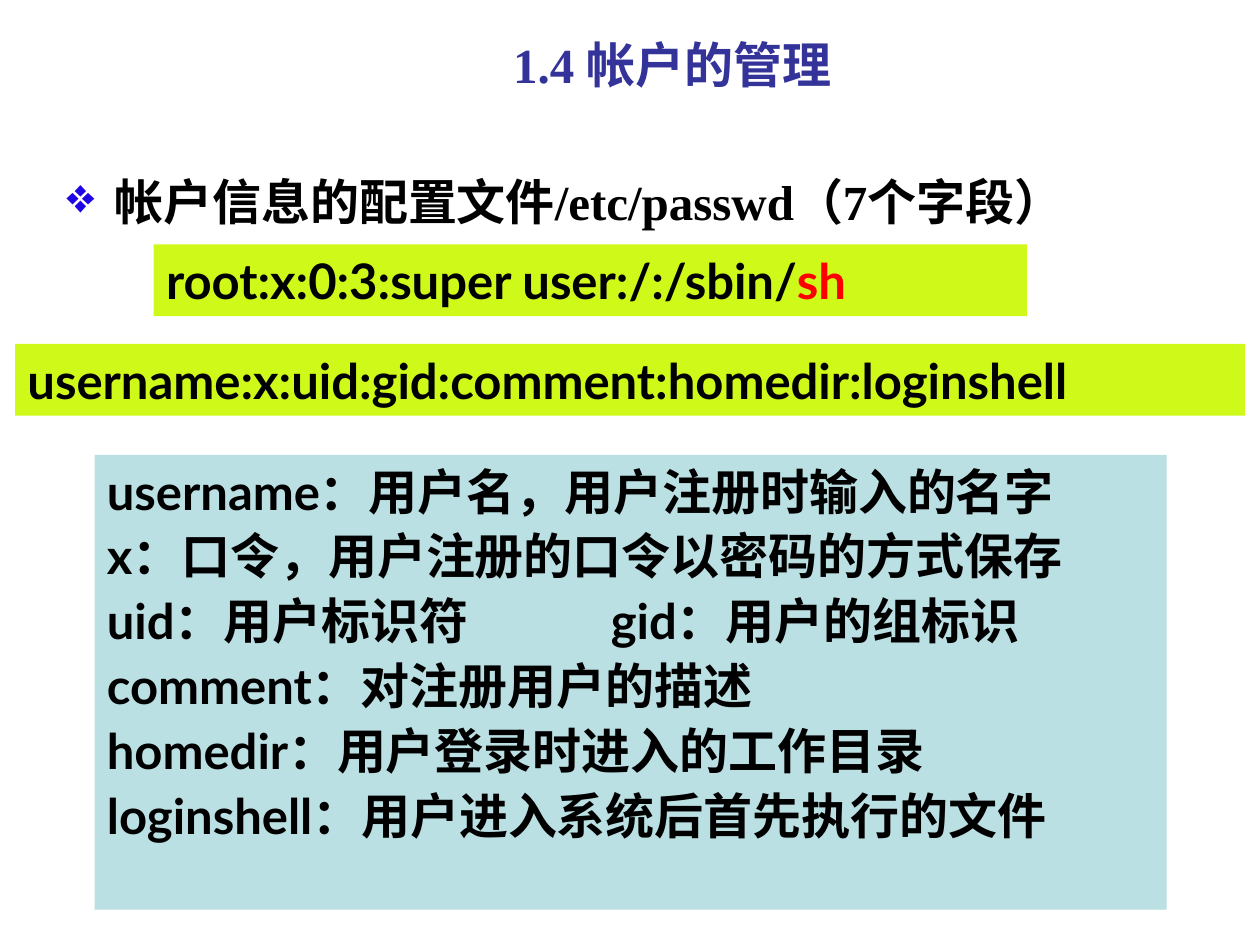
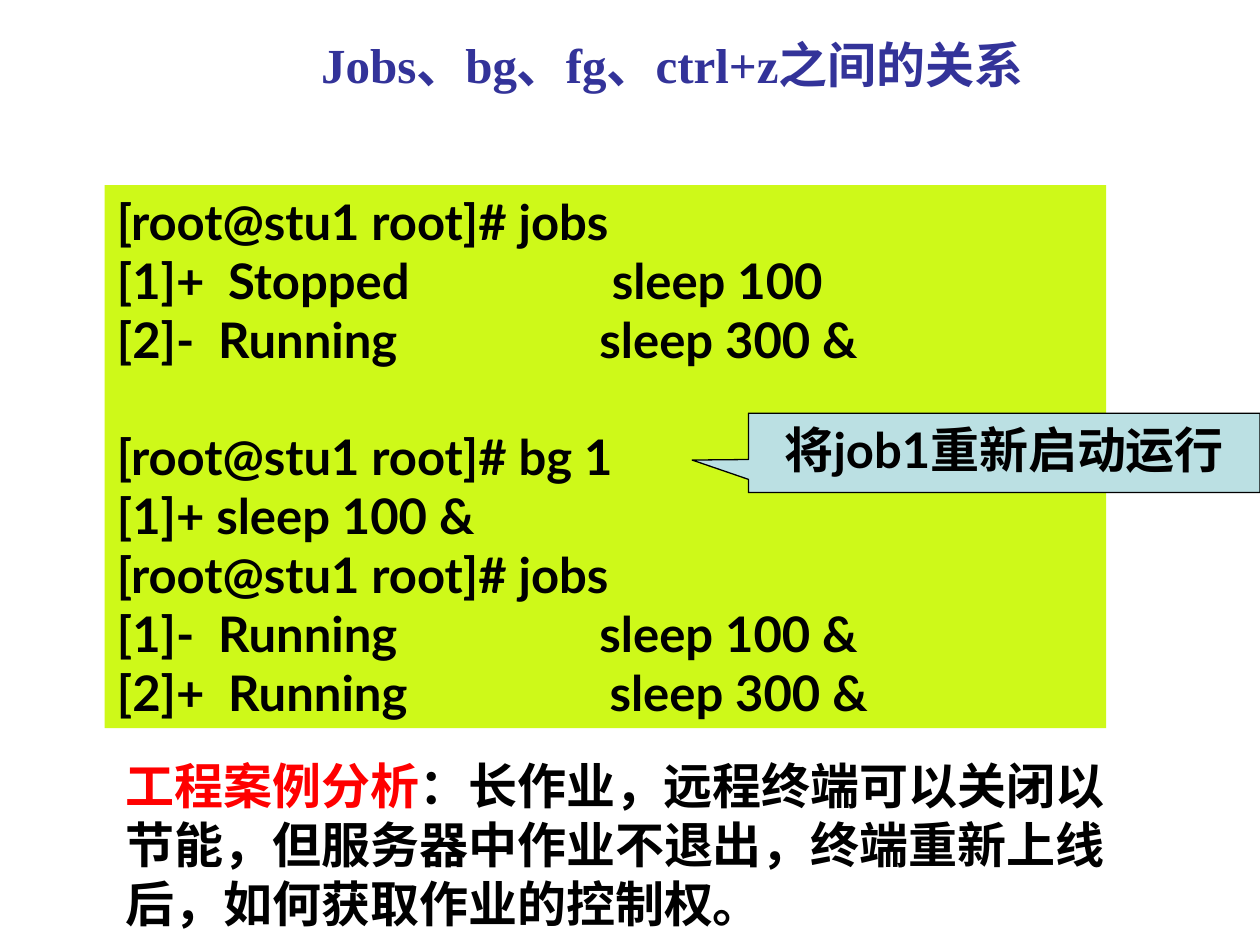
from pptx import Presentation
from pptx.dml.color import RGBColor
from pptx.enum import lang, shapes, text
from pptx.util import Inches, Pt
from lxml import etree
from pptx.oxml import ns

NAVY = RGBColor(0x33, 0x33, 0x99)
BLACK = RGBColor(0, 0, 0)
RED = RGBColor(0xFF, 0, 0)
LIME = RGBColor(0xCE, 0xF9, 0x19)
PALE_BLUE = RGBColor(0xBB, 0xE0, 0xE3)
BULLET_BLUE = "1F05E3"
SERIF, SANS = "Times New Roman", "Lato"
RECT = shapes.MSO_SHAPE.RECTANGLE
CALLOUT = shapes.MSO_SHAPE.RECTANGULAR_CALLOUT
TITLE_BOX = (0.67, 0.21, 9.33, 0.6)
LINE_PT = 33.6  # height of one terminal line

# Content: a paragraph is a list of (text, colour) runs or a plain string
ACCOUNT_TITLE = "1.4 帐户的管理"
PASSWD_HEADING = "帐户信息的配置文件/etc/passwd（7个字段）"
PASSWD_EXAMPLE = [("root:x:0:3:super user:/:/sbin/", BLACK), ("sh", RED)]
PASSWD_FORMAT = "username:x:uid:gid:comment:homedir:loginshell"
PASSWD_FIELDS = [
    "username：用户名，用户注册时输入的名字",
    "x：口令，用户注册的口令以密码的方式保存",
    "uid：用户标识符\tgid：用户的组标识",
    "comment：对注册用户的描述",
    "homedir：用户登录时进入的工作目录",
    "loginshell：用户进入系统后首先执行的文件",
]

JOBS_TITLE = "Jobs、bg、fg、ctrl+z之间的关系"
JOBS_LIST = [
    "[root@stu1 root]# jobs",
    "[1]+  Stopped                 sleep 100",
    "[2]-  Running                 sleep 300 &",
]
JOBS_AFTER_BG = [
    "[root@stu1 root]# bg 1",
    "[1]+ sleep 100 &",
    "[root@stu1 root]# jobs",
    "[1]-  Running                 sleep 100 &",
    "[2]+  Running                 sleep 300 &",
]
BG_NOTE = "将job1重新启动运行"
CASE_STUDY = [
    ("工程案例分析", RED),
    ("：长作业，远程终端可以关闭以节能，但服务器中作业不退出，"
     "终端重新上线后，如何获取作业的控制权。", BLACK),
]


def write(sp, paragraphs, font=SANS, color=BLACK, align=text.PP_ALIGN.LEFT,
          anchor=text.MSO_ANCHOR.TOP, before=0):
    """Fill a shape with bold 28 pt paragraphs and return its text frame."""
    tf = sp.text_frame
    tf.word_wrap = True
    tf.vertical_anchor = anchor
    for i, runs in enumerate(paragraphs):
        p = tf.paragraphs[0] if i == 0 else tf.add_paragraph()
        p.alignment = align
        if i and before:
            p.space_before = Pt(before)
        for words, run_color in [(runs, color)] if isinstance(runs, str) else runs:
            r = p.add_run()
            r.text = words
            r.font.name, r.font.size, r.font.bold = font, Pt(28), True
            r.font.color.rgb = run_color
            r.font.language_id = lang.MSO_LANGUAGE_ID.SIMPLIFIED_CHINESE
    return tf


def add_text(slide, box, paragraphs, **fmt):
    return write(slide.shapes.add_textbox(*map(Inches, box)), paragraphs, **fmt)


def add_panel(slide, box, fill, paragraphs, kind=RECT, **fmt):
    sp = slide.shapes.add_shape(kind, *map(Inches, box))
    sp.shadow.inherit = False
    sp.fill.solid()
    sp.fill.fore_color.rgb = fill
    sp.line.fill.background()
    write(sp, paragraphs, **fmt)
    return sp


def add_slide(prs, title):
    slide = prs.slides.add_slide(prs.slide_layouts[6])
    add_text(slide, TITLE_BOX, [title], font=SERIF, color=NAVY,
             align=text.PP_ALIGN.CENTER, anchor=text.MSO_ANCHOR.MIDDLE)
    return slide


def add_bullet(p, char, color, indent):
    pPr = p._p.get_or_add_pPr()
    pPr.set("marL", str(Inches(indent)))
    pPr.set("indent", str(-Inches(indent)))
    bu_clr = etree.SubElement(pPr, ns.qn("a:buClr"))
    etree.SubElement(bu_clr, ns.qn("a:srgbClr"), val=color)
    etree.SubElement(pPr, ns.qn("a:buChar"), char=char)


def add_tab_stop(p, position):
    tabs = etree.SubElement(p._p.get_or_add_pPr(), ns.qn("a:tabLst"))
    etree.SubElement(tabs, ns.qn("a:tab"), pos=str(Inches(position)), algn="l")


def build_account_slide(prs):
    slide = add_slide(prs, ACCOUNT_TITLE)
    tf = add_text(slide, (0.43, 1.31, 9.29, 0.6), [PASSWD_HEADING], font=SERIF)
    add_bullet(tf.paragraphs[0], "❖", BULLET_BLUE, 0.38)
    add_panel(slide, (1.22, 1.94, 6.93, 0.57), LIME, [PASSWD_EXAMPLE])
    add_panel(slide, (0.12, 2.73, 9.76, 0.57), LIME, [PASSWD_FORMAT])
    fields = add_panel(slide, (0.75, 3.61, 8.51, 3.61), PALE_BLUE,
                       PASSWD_FIELDS, before=3.5)
    for p in fields.text_frame.paragraphs:
        if "\t" in p.text:
            add_tab_stop(p, 4)


def build_jobs_slide(prs):
    slide = add_slide(prs, JOBS_TITLE)
    terminal = add_panel(slide, (0.83, 1.47, 7.95, 4.31), LIME,
                         JOBS_LIST + JOBS_AFTER_BG)
    # One line of space before the bg command
    terminal.text_frame.paragraphs[len(JOBS_LIST)].space_before = Pt(LINE_PT)

    note = add_panel(slide, (5.94, 3.28, 4.06, 0.63), PALE_BLUE, [BG_NOTE],
                     kind=CALLOUT, align=text.PP_ALIGN.CENTER)
    note.adjustments[0], note.adjustments[1] = -0.61, 0.09
    note.line.color.rgb = BLACK
    note.line.width = Pt(0.75)

    add_text(slide, (0.9, 5.95, 8.19, 1.5), [CASE_STUDY])


def main():
    prs = Presentation()
    prs.slide_width, prs.slide_height = Inches(10), Inches(7.5)
    build_account_slide(prs)
    build_jobs_slide(prs)
    prs.save("out.pptx")


if __name__ == "__main__":
    main()
